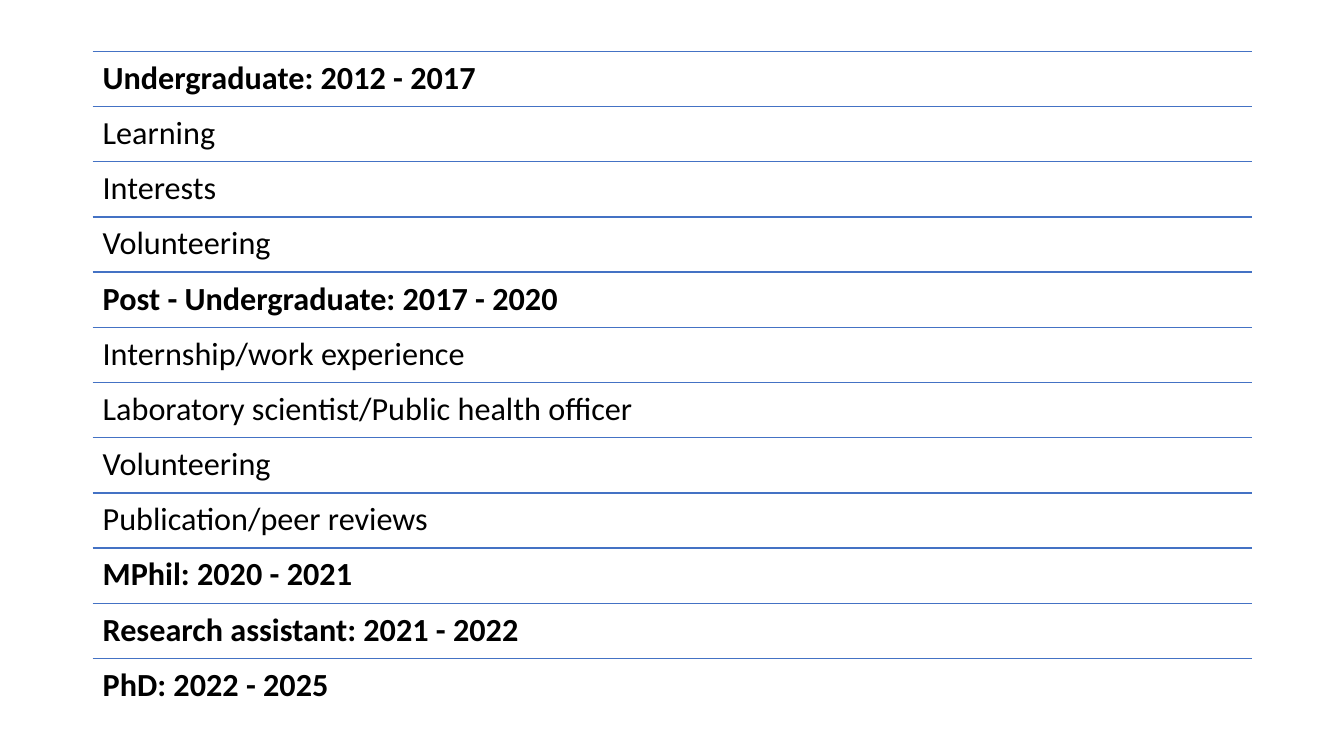
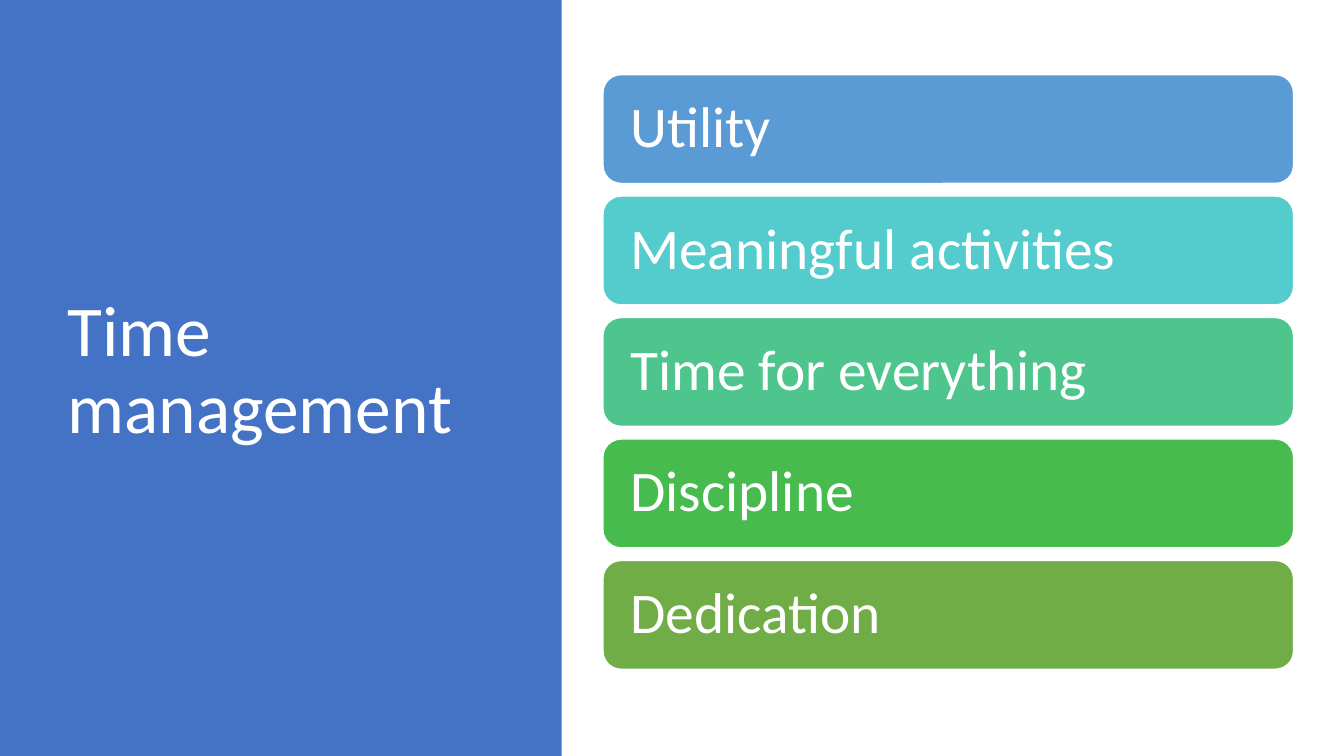
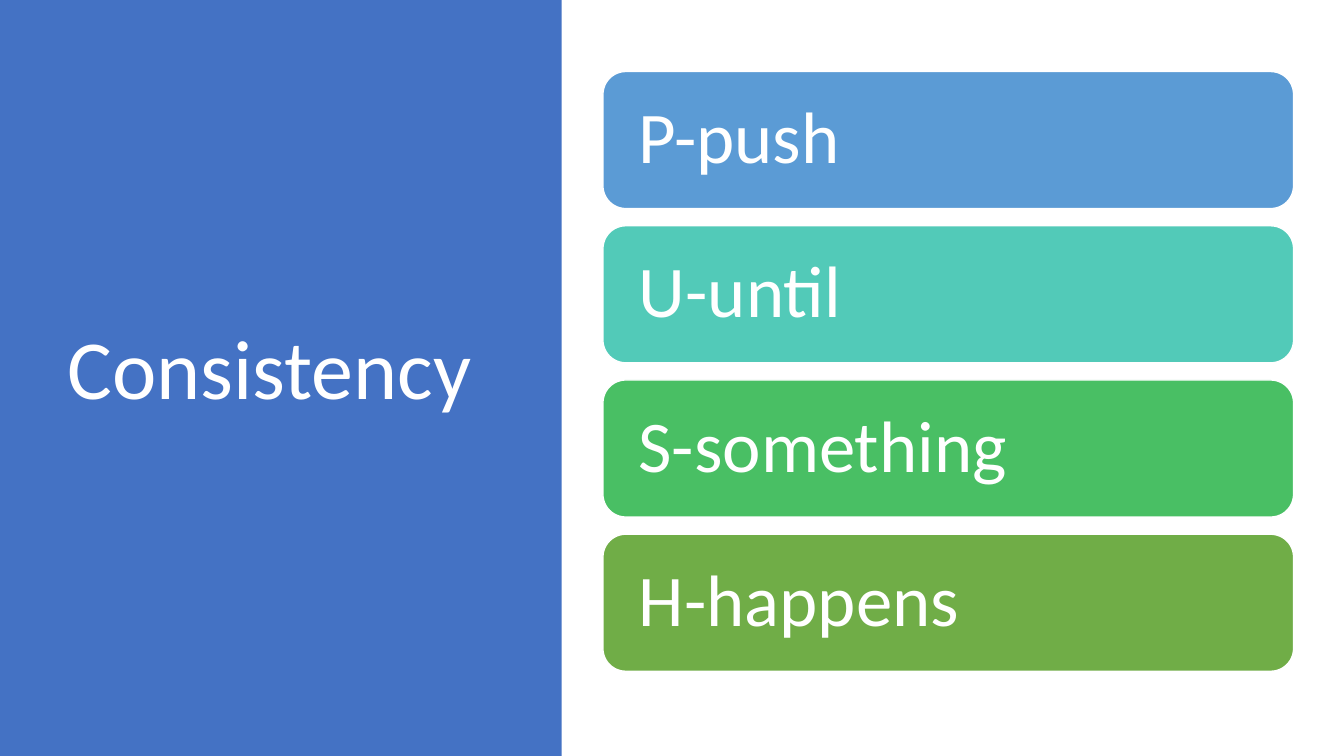
import pptx
import pptx.util
import pptx.dml.color
import pptx.enum.shapes
import pptx.enum.text
import pptx.oxml.ns
from lxml import etree

PX = 9144
WIDE, HIGH = 1333, 750
FONT = "Calibri"
HUES = {
    "blue": "4472C4", "white": "FFFFFF", "black": "000000",
    "sky": "5B9BD5", "aqua": "54CCCD", "teal": "52CAB8",
    "mint": "4DC58D", "jade": "49BF64", "leaf": "48BB4F", "moss": "70AD47",
}

STAGES = [
    ("Undergraduate: 2012 - 2017", True),
    ("Learning", False),
    ("Interests", False),
    ("Volunteering", False),
    ("Post - Undergraduate: 2017 - 2020", True),
    ("Internship/work experience", False),
    ("Laboratory scientist/Public health officer", False),
    ("Volunteering", False),
    ("Publication/peer reviews", False),
    ("MPhil: 2020 - 2021", True),
    ("Research assistant: 2021 - 2022", True),
    ("PhD: 2022 - 2025", True),
]

TOPICS = [
    {
        "title": "Time management", "size": 51, "width": 416,
        "top": 74, "end": 664, "tall": 108, "pad": 22, "text": 41,
        "cards": [
            ("Utility", "sky"),
            ("Meaningful activities", "aqua"),
            ("Time for everything", "mint"),
            ("Discipline", "leaf"),
            ("Dedication", "moss"),
        ],
    },
    {
        "title": "Consistency", "size": 60, "width": 437,
        "top": 71, "end": 666, "tall": 136, "pad": 29, "text": 52,
        "cards": [
            ("P-push", "sky"),
            ("U-until", "teal"),
            ("S-something", "jade"),
            ("H-happens", "moss"),
        ],
    },
]

SHAPES = pptx.enum.shapes.MSO_SHAPE
ANCHOR = pptx.enum.text.MSO_ANCHOR


def emu(*sizes):
    return [pptx.util.Emu(round(size * PX)) for size in sizes]


def rgb(hue):
    return pptx.dml.color.RGBColor.from_string(HUES[hue])


def write(shape, words, size, hue, pads, anchor=ANCHOR.MIDDLE, bold=False):
    frame = shape.text_frame
    frame.word_wrap = True
    frame.vertical_anchor = anchor
    side, edge = emu(*pads)
    frame.margin_left = frame.margin_right = side
    frame.margin_top = frame.margin_bottom = edge
    para = frame.paragraphs[0]
    para.alignment = pptx.enum.text.PP_ALIGN.LEFT
    para.line_spacing = 0.9
    run = para.add_run()
    run.text = words
    run.font.name = FONT
    run.font.size = pptx.util.Pt(size)
    run.font.bold = bold
    run.font.color.rgb = rgb(hue)


def block(slide, kind, box, fill, edge=None):
    shape = slide.shapes.add_shape(kind, *emu(*box))
    shape.shadow.inherit = False
    shape.fill.solid()
    shape.fill.fore_color.rgb = rgb(fill)
    if edge:
        shape.line.color.rgb = rgb(edge)
        shape.line.width = pptx.util.Pt(1)
    else:
        shape.line.fill.background()
    return shape


def rule(slide, left, right, top):
    line = slide.shapes.add_connector(
        pptx.enum.shapes.MSO_CONNECTOR.STRAIGHT, *emu(left, top, right, top))
    line.line.color.rgb = rgb("blue")
    line.line.width = pptx.util.Pt(1)
    etree.SubElement(line._element.spPr, pptx.oxml.ns.qn("a:effectLst"))


def draw_stages(slide):
    left, top, width, end = 92, 51, 1150, 708
    step = (end - top) / len(STAGES)
    for i, (words, bold) in enumerate(STAGES):
        y = top + i * step
        rule(slide, left, left + width, y)
        box = slide.shapes.add_textbox(*emu(left, y, width, step))
        write(box, words, 23, "black", (10, 10), ANCHOR.TOP, bold)


def draw_topic(slide, topic):
    block(slide, SHAPES.RECTANGLE, (0, 0, 557, HIGH), "blue")
    title = slide.shapes.add_textbox(*emu(57, 68, topic["width"], 602))
    write(title, topic["title"], topic["size"], "white", (10, 5))
    cards, tall, pad = topic["cards"], topic["tall"], topic["pad"]
    step = (topic["end"] - topic["top"] - tall) / (len(cards) - 1)
    for i, (words, hue) in enumerate(cards):
        box = (598, topic["top"] + i * step, 685, tall)
        card = block(slide, SHAPES.ROUNDED_RECTANGLE, box, hue, "white")
        write(card, words, topic["text"], "white", (pad, pad))


def main():
    deck = pptx.Presentation()
    deck.slide_width, deck.slide_height = emu(WIDE, HIGH)
    blank = deck.slide_layouts[6]
    draw_stages(deck.slides.add_slide(blank))
    for topic in TOPICS:
        draw_topic(deck.slides.add_slide(blank), topic)
    deck.save("out.pptx")


if __name__ == "__main__":
    main()
